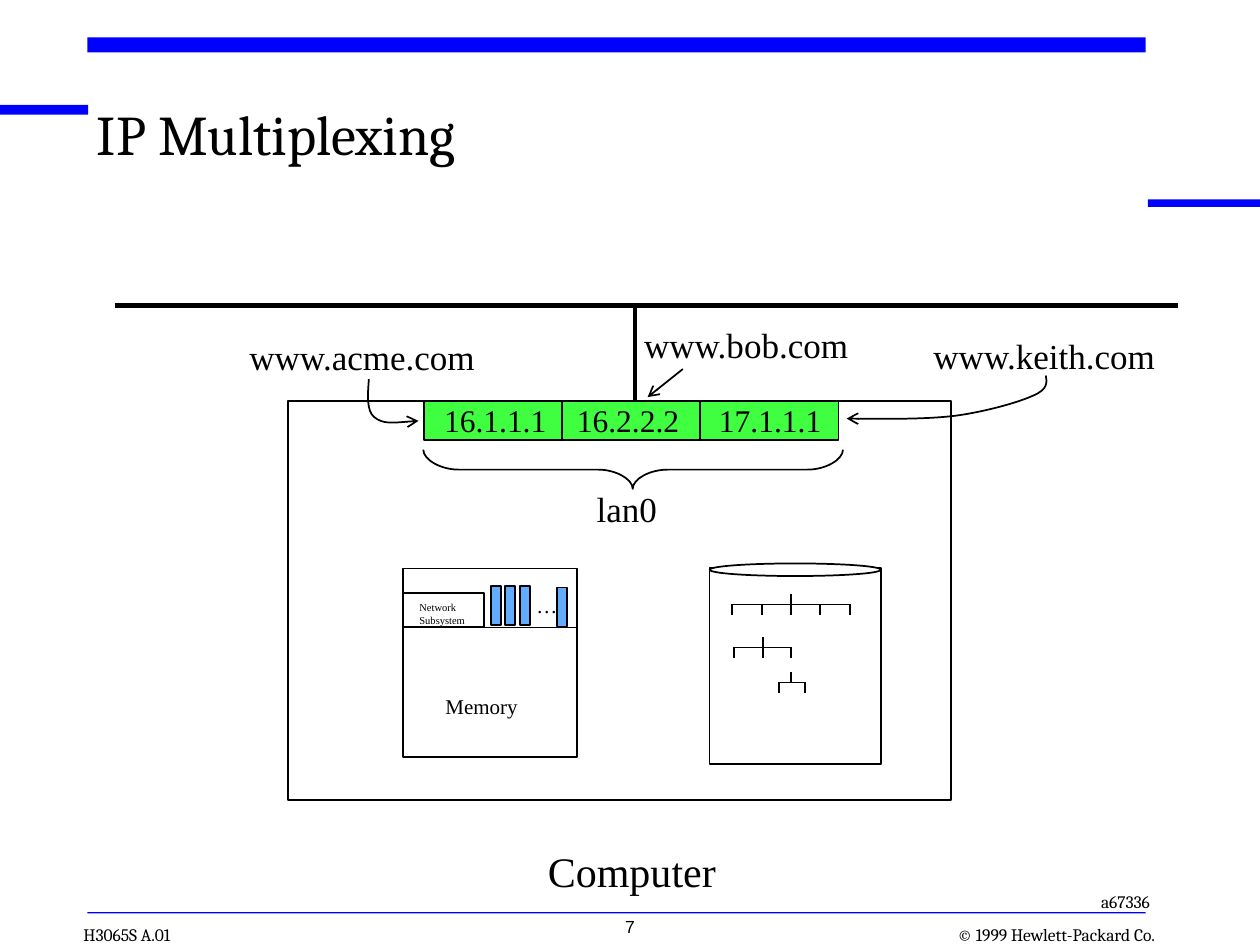
from lxml import etree
from pptx import Presentation
from pptx import util as u
from pptx.dml.color import RGBColor
from pptx.enum import shapes, text
from pptx.oxml import ns

Pt = u.Pt
BLUE = RGBColor(0x00, 0x00, 0xFF)
BLACK = RGBColor(0x00, 0x00, 0x00)
WHITE = RGBColor(0xFF, 0xFF, 0xFF)
GREEN = RGBColor(0x40, 0xFF, 0x40)
SKY = RGBColor(0x63, 0xAC, 0xFF)
SERIF, HEAD, SANS = "Times New Roman", "Cambria", "Arial"
RECT = shapes.MSO_SHAPE.RECTANGLE
LEFT, CENTER, RIGHT = text.PP_ALIGN.LEFT, text.PP_ALIGN.CENTER, text.PP_ALIGN.RIGHT

prs = Presentation()
prs.slide_width, prs.slide_height = Pt(720), Pt(540)
s = prs.slides.add_slide(prs.slide_layouts[6])


def box(x, y, w, h, fill=None, line=BLACK, kind=RECT):
    sp = s.shapes.add_shape(kind, Pt(x), Pt(y), Pt(w), Pt(h))
    sp.shadow.inherit = False
    if fill is None:
        sp.fill.background()
    else:
        sp.fill.solid()
        sp.fill.fore_color.rgb = fill
    if line is None:
        sp.line.fill.background()
    else:
        sp.line.color.rgb = line
        sp.line.width = Pt(1)


def write(x, y, w, h, lines, size, font=SERIF, align=LEFT, inset=(7.2, 3.6),
          wrap=False, tabs=()):
    tf = s.shapes.add_textbox(Pt(x), Pt(y), Pt(w), Pt(h)).text_frame
    tf.word_wrap = wrap
    tf.margin_left = tf.margin_right = Pt(inset[0])
    tf.margin_top = tf.margin_bottom = Pt(inset[1])
    for i, words in enumerate(lines):
        p = tf.paragraphs[0] if i == 0 else tf.add_paragraph()
        p.text = words
        p.alignment = align
        if tabs:
            tab_list = etree.SubElement(p._p.get_or_add_pPr(), ns.qn("a:tabLst"))
            for pos in tabs:
                etree.SubElement(tab_list, ns.qn("a:tab"), pos=str(Pt(pos)), algn="l")
        p.font.size = Pt(size)
        p.font.name = font
        p.font.color.rgb = BLACK
    return tf


# Blue frame bars and footer rule
for bar in [(0, 59.9, 50.4, 5.6), (49.9, 21.4, 604.8, 8.6),
            (655.9, 113.9, 64.1, 4.3), (49.9, 521.2, 604.8, 0.7)]:
    box(*bar, fill=BLUE, line=None)

# Footer texts
for x, w, words, align in [(529, 131, "© 1999 Hewlett-Packard Co.", RIGHT),
                           (47.7, 59, "H3065S A.01", LEFT)]:
    tf = write(x, 527.8, w, 12.2, [words], 10, HEAD, align, (0, 0))
    tf.vertical_anchor = text.MSO_ANCHOR.BOTTOM

# Title
tf = write(55.4, 62.6, 581, 48.2, ["IP Multiplexing"], 32, HEAD, inset=(0, 0), wrap=True)
tf.paragraphs[0].line_spacing = 0.85

# Computer with one cell per address
box(164.4, 229, 379.2, 228.2)
for i in range(3):
    box(242.4 + 78.9 * i, 229, 79, 22.3, GREEN)
write(246.7, 225.4, 230.4, 28.8, ["16.1.1.1\t16.2.2.2\t17.1.1.1"], 18,
      wrap=True, tabs=(75.9, 157.1))

# Memory with network subsystem and process bars
box(230.4, 324.9, 99.2, 107.8, WHITE)
box(230.4, 338.9, 46.1, 19.4, WHITE)
for x, y in [(280.6, 335), (288.4, 335), (297, 335), (318.2, 335.7)]:
    box(x, y, 5.8, 22.3, SKY)

# Disk
box(405.5, 324.7, 97.9, 112, WHITE)
box(405.5, 322, 97.9, 7.2, WHITE, kind=shapes.MSO_SHAPE.OVAL)

# Straight lines: x1, y1, x2, y2, width, arrow
lines = [
    (65.5, 174.7, 673.2, 174.7, 3, False),
    (362.8, 175.7, 362.8, 229, 2.25, False),
    (390.2, 210.9, 370.1, 226.9, 1, True),
    (231.1, 358.5, 329, 358.5, 1, False),
]
# Directory trees on the disk: bar height, stem, branches
STEP = 5.8
for y, stem, branches in [(345.4, 452.2, [418.3, 435.6, 452.2, 468.7, 485.8]),
                          (370, 436.1, [419.3, 436.1, 452.2]),
                          (390, 452.2, [445, 460.1])]:
    lines.append((stem, y - STEP, stem, y, 1, False))
    lines.append((branches[0], y, branches[-1], y, 1, False))
    lines += [(x, y, x, y + STEP, 1, False) for x in branches]

drawn = []
for x1, y1, x2, y2, width, arrow in lines:
    ln = s.shapes.add_connector(shapes.MSO_CONNECTOR.STRAIGHT,
                                Pt(x1), Pt(y1), Pt(x2), Pt(y2))
    etree.SubElement(ln._element.spPr, ns.qn("a:effectLst"))
    drawn.append((ln, width, arrow))

# Brace and curved arrows: a start, then segments of one point (straight)
# or two controls and an end (Bézier)
curves = [
    ((481.7, 257), [
        [(481.7, 262.8), (471.6, 268.4), (461.5, 268.4)],
        [(381.6, 268.4)],
        [(371.5, 268.4), (361.6, 273.6), (361.6, 279.4)],
        [(361.6, 273.6), (351.4, 268.4), (342, 268.4)],
        [(262.1, 268.4)],
        [(252, 268.4), (241.9, 262.8), (241.9, 257)]], False),
    ((597.6, 214.6), [
        [(598.3, 218.2), (599, 222.5), (590.4, 226.1)],
        [(582.5, 229.7), (564.5, 235), (546.5, 237.5)],
        [(528.5, 239.8), (493.9, 239.2), (483.8, 239.2)]], True),
    ((210.8, 216.7), [
        [(210.1, 225.4), (209.4, 234.7), (213.8, 238.3)],
        [(218.9, 242.6), (229, 241.2), (239.2, 240.5)]], True),
]
for start, segments, arrow in curves:
    fb = s.shapes.build_freeform(Pt(start[0]), Pt(start[1]))
    fb.add_line_segments([(Pt(seg[-1][0]), Pt(seg[-1][1])) for seg in segments], close=False)
    sp = fb.convert_to_shape()
    sp.shadow.inherit = False
    sp.fill.background()
    straight = list(sp._element.iter(ns.qn("a:lnTo")))
    for segment, element in zip(segments, straight):
        if len(segment) == 3:
            element.tag = ns.qn("a:cubicBezTo")
            for i, (x, y) in enumerate(segment[:2]):
                control = etree.Element(ns.qn("a:pt"), x=str(Pt(x) - sp.left),
                                        y=str(Pt(y) - sp.top))
                element.insert(i, control)
    drawn.append((sp, 1, arrow))

# Shared line style and arrowheads
for sp, width, arrow in drawn:
    sp.line.color.rgb = BLACK
    sp.line.width = Pt(width)
    if arrow:
        etree.SubElement(sp.line._get_or_add_ln(), ns.qn("a:tailEnd"), type="arrow")

# Labels: x, y, w, h, lines, size, font, alignment
for label in [
    (333.9, 275, 49, 31.7, ["lan0"], 20, SERIF, LEFT),
    (306, 479.5, 110.2, 36, ["Computer"], 24, SERIF, LEFT),
    (526.3, 187.6, 142.6, 31.7, ["www.keith.com"], 20, SERIF, LEFT),
    (361, 181.4, 132.5, 31.7, ["www.bob.com"], 20, SERIF, LEFT),
    (135.4, 187.9, 144.7, 31.7, ["www.acme.com"], 20, SERIF, LEFT),
    (232.6, 340, 40.3, 21.6, ["Network", "Subsystem"], 6, SERIF, LEFT),
    (299.5, 334.8, 25.9, 21.6, ["…"], 12, SERIF, LEFT),
    (247.5, 392.8, 58, 21.6, ["Memory"], 12, SERIF, LEFT),
    (616, 505.4, 48.2, 19.4, ["a67336"], 10, HEAD, RIGHT),
    (285.1, 519.8, 149.8, 23.8, ["7"], 10, SANS, CENTER),
]:
    write(*label)

prs.save("out.pptx")
